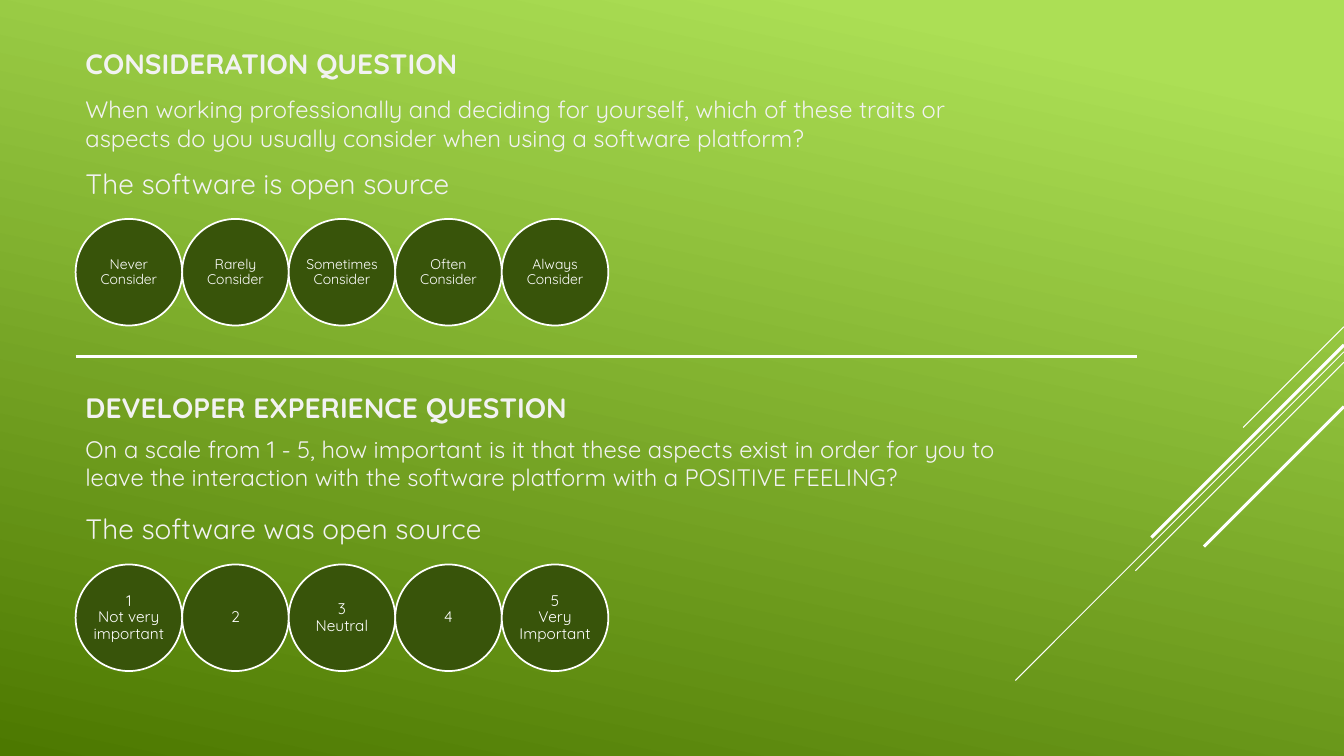
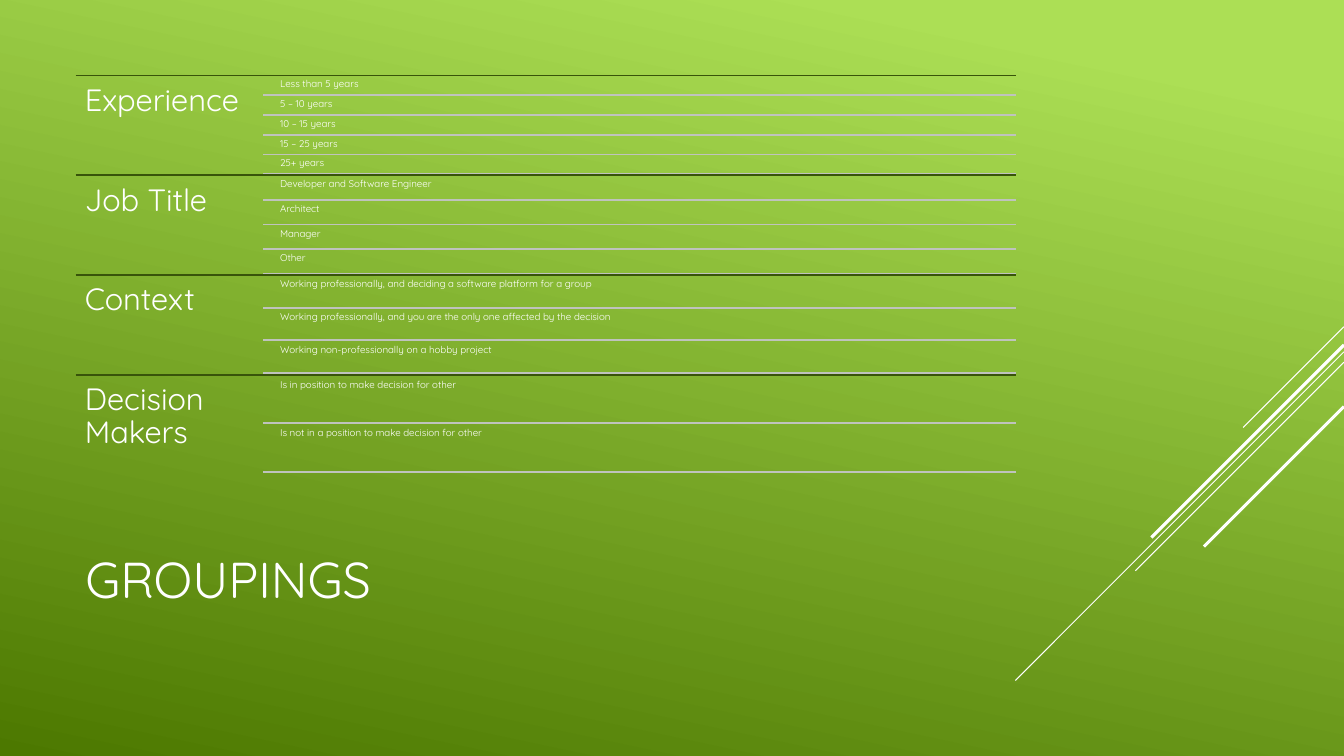
import pptx
import pptx.util
import pptx.dml.color
import pptx.enum.shapes
import pptx.enum.text
import lxml.etree

Pt = pptx.util.Pt
ANCHOR = pptx.enum.text.MSO_ANCHOR
ALIGN = pptx.enum.text.PP_ALIGN

FONT = "Quicksand"
COLORS = {
    "light": "ACDF55",
    "deep": "4C7800",
    "dark": "38540A",
    "white": "FFFFFF",
    "soft": "F2F2F2",
    "rule": "BFC3BD",
}
SLIDE_W, SLIDE_H = 960, 540
LEFT, CONTENT_W = 54, 671.8
RIGHT = LEFT + CONTENT_W

RAYS = [
    (233.4, 72, 0.75),
    (251.3, 234.7, 0.75),
    (258.7, 149, 0.75),
    (246.4, 137.5, 2.25),
    (290.4, 100, 2.25),
]

QUESTIONS = [
    {
        "title": ("CONSIDERATION QUESTION", 25.2),
        "question": ("When working professionally and deciding for yourself, which of these "
                     "traits or aspects do you usually consider when using a software platform?", 68.4),
        "statement": ("The software is open source", 110.9),
        "scale": (["Never Consider", "Rarely Consider", "Sometimes Consider",
                   "Often Consider", "Always Consider"], 156.4, 10),
    },
    {
        "title": ("DEVELOPER EXPERIENCE QUESTION", 271.4),
        "question": ("On a scale from 1 - 5, how important is it that these aspects exist in order "
                     "for you to leave the interaction with the software platform with a "
                     "POSITIVE FEELING?", 311),
        "statement": ("The software was open source", 357.8),
        "scale": (["1\vNot very important", "2", "3\vNeutral", "4",
                   "5\vVery Important"], 403.2, 11),
    },
]

GROUPINGS = [
    ("Experience", ["Less than 5 years", "5 – 10 years", "10 – 15 years",
                    "15 – 25 years", "25+ years"]),
    ("Job Title", ["Developer and Software Engineer", "Architect", "Manager", "Other"]),
    ("Context", ["Working professionally, and deciding a software platform for a group",
                 "Working professionally, and you are the only one affected by the decision",
                 "Working non-professionally on a hobby project"]),
    ("Decision Makers", ["Is in position to make decision for other",
                         "Is not in a position to make decision for other"]),
]


def rgb(name):
    return pptx.dml.color.RGBColor.from_string(COLORS[name])


def set_attrs(obj, values):
    for name, value in values.items():
        setattr(obj, name, value)


def write(sp, text, size, color="white", bold=False, anchor=ANCHOR.MIDDLE,
          align=ALIGN.LEFT, spacing=None, inset=None):
    tf = sp.text_frame
    set_attrs(tf, {"word_wrap": True, "vertical_anchor": anchor})
    if inset is not None:
        sides = ("left", "top", "right", "bottom")
        set_attrs(tf, {f"margin_{side}": Pt(inset) for side in sides})
    p = tf.paragraphs[0]
    p.text = text
    set_attrs(p, {"alignment": align, "line_spacing": spacing})
    for r in p.runs:
        set_attrs(r.font, {"name": FONT, "size": Pt(size), "bold": bold})
        r.font.color.rgb = rgb(color)


def add_text(s, x, y, w, h, text, size, **style):
    sp = s.shapes.add_textbox(Pt(x), Pt(y), Pt(w), Pt(h))
    write(sp, text, size, **style)


def add_line(s, x1, y1, x2, y2, color, width):
    kind = pptx.enum.shapes.MSO_CONNECTOR.STRAIGHT
    sp = s.shapes.add_connector(kind, Pt(x1), Pt(y1), Pt(x2), Pt(y2))
    sp.line.color.rgb = rgb(color)
    sp.line.width = Pt(width)
    props = sp._element.spPr
    lxml.etree.SubElement(props, pptx.oxml.ns.qn("a:effectLst"))


def add_circle(s, x, y, d, text, size):
    kind = pptx.enum.shapes.MSO_SHAPE.OVAL
    sp = s.shapes.add_shape(kind, Pt(x), Pt(y), Pt(d), Pt(d))
    sp.shadow.inherit = False
    sp.fill.solid()
    sp.fill.fore_color.rgb = rgb("dark")
    sp.line.color.rgb = rgb("white")
    sp.line.width = Pt(1.25)
    write(sp, text, size, align=ALIGN.CENTER, spacing=0.9, inset=0)


def add_scale(s, labels, y, size):
    d = 76.1
    for i, label in enumerate(labels):
        add_circle(s, LEFT + i * d, y, d, label, size)


def add_grouping(s, y, h, name, items):
    add_line(s, LEFT, y, RIGHT, y, "dark", 1.25)
    add_text(s, LEFT, y, 134.4, h, name, 22, anchor=ANCHOR.TOP, spacing=0.9, inset=6.6)
    row_h = h / (1.05 * len(items) + 0.05)
    gap = 0.05 * row_h
    for i, item in enumerate(items):
        top = y + gap + i * (row_h + gap)
        add_text(s, 198, top, RIGHT - 198, row_h, item, 7,
                 anchor=ANCHOR.TOP, spacing=0.9, inset=2.1)
        add_line(s, 188.2, top + row_h, RIGHT, top + row_h, "rule", 1.25)


def set_background(master):
    fill = master.background.fill
    fill.gradient()
    fill.gradient_angle = 258
    for stop, position, color in zip(fill.gradient_stops, (0.1, 1), ("light", "deep")):
        stop.position = position
        stop.color.rgb = rgb(color)


def new_slide(prs):
    s = prs.slides.add_slide(prs.slide_layouts[6])
    for y, reach, width in RAYS:
        add_line(s, SLIDE_W, y, SLIDE_W - reach, y + reach, "white", width)
    return s


def build_questions(prs):
    s = new_slide(prs)
    styles = {"title": (20, True), "question": (17, False), "statement": (20, False)}
    for block in QUESTIONS:
        for part, (size, bold) in styles.items():
            text, y = block[part]
            add_text(s, LEFT, y, CONTENT_W, 39.6, text, size, color="soft", bold=bold)
        add_scale(s, *block["scale"])
    add_line(s, LEFT, 254.6, 812.5, 254.6, "white", 2.25)


def build_groupings(prs):
    s = new_slide(prs)
    add_text(s, LEFT, 353.5, CONTENT_W, 118.8, "GROUPINGS", 36)
    h = 71.2
    for i, (name, items) in enumerate(GROUPINGS):
        add_grouping(s, LEFT + i * h, h, name, items)


def main():
    prs = pptx.Presentation()
    set_attrs(prs, {"slide_width": Pt(SLIDE_W), "slide_height": Pt(SLIDE_H)})
    set_background(prs.slide_master)
    build_questions(prs)
    build_groupings(prs)
    prs.save("out.pptx")


main()
